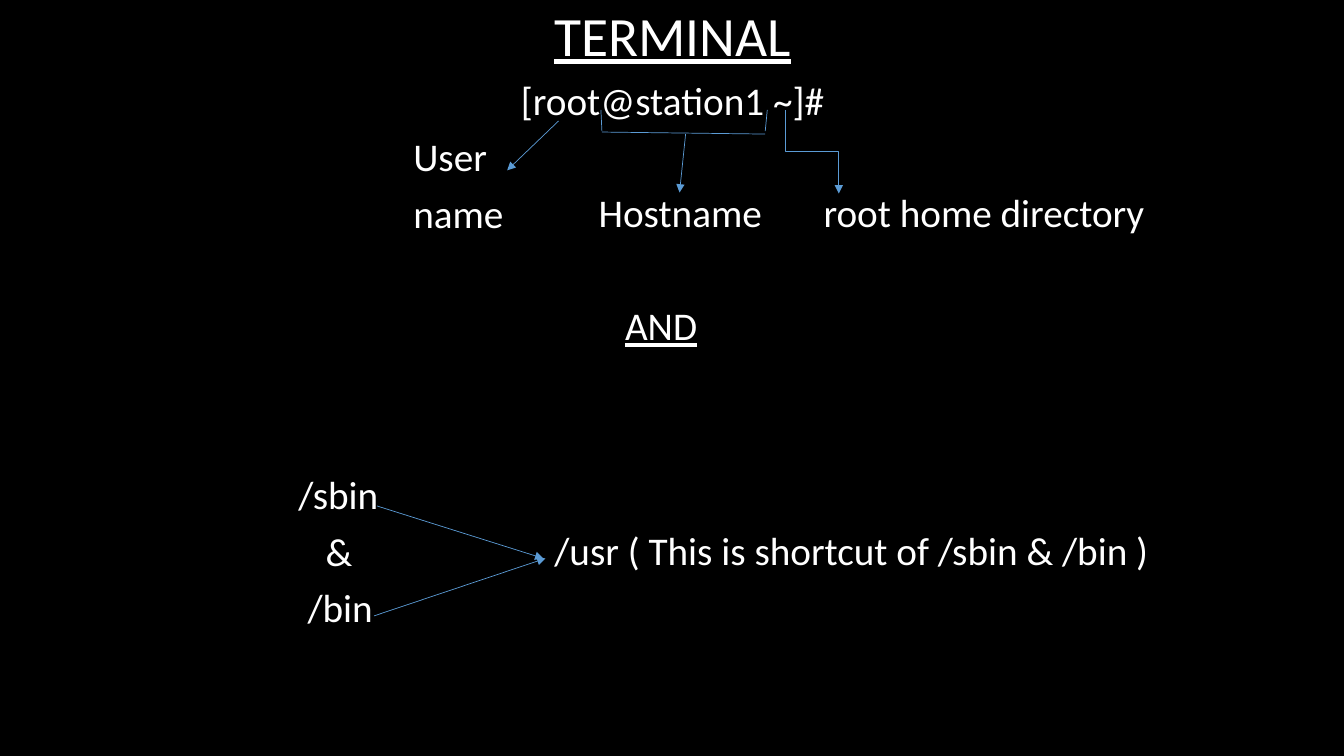
from lxml import etree
from pptx import Presentation
from pptx.dml.color import RGBColor
from pptx.enum.shapes import MSO_CONNECTOR as Connector
from pptx.enum.text import MSO_ANCHOR as Anchor, MSO_AUTO_SIZE as AutoSize, PP_ALIGN as Align
from pptx.oxml.ns import qn
from pptx.util import Inches, Pt

COLORS = {"background": "000000", "text": "FFFFFF", "line": "5B9BD5"}
FONT = "Calibri"
TITLE_BOX = (0.92, 0, 11.5, 0.76)
BODY_BOX = (0.92, 0.76, 11.5, 6)
LINE_PITCH = 40.2
GAP = 10

# Text, left indent, empty lines above
BODY_LINES = [
    ("[root@station1 ~]#", 0, 0),
    ("User", 3.08, 0),
    ("name", 3.08, 0),
    ("AND", 5.18, 1),
    ("/sbin", 1.94, 2),
    ("&", 2.21, 0),
    ("/bin", 2.03, 0),
]

# Text, left offset, line number in the body, width
LABELS = [
    ("Hostname", 4.92, 2, 2),
    ("root home directory", 7.15, 2, 3.7),
    ("/usr ( This is shortcut of /sbin & /bin )", 4.48, 8, 6.5),
]


def color(name):
    return RGBColor.from_string(COLORS[name])


def place(shape, box):
    shape.left, shape.top, shape.width, shape.height = map(Inches, box)
    shape.text_frame.word_wrap = True
    shape.text_frame.auto_size = AutoSize.NONE


def format_paragraph(paragraph, size, alignment=Align.LEFT, gap=0, underline=False):
    paragraph.alignment = alignment
    paragraph.line_spacing = 0.9
    paragraph.space_before = Pt(gap)
    paragraph.space_after = Pt(0)
    for run in paragraph.runs:
        font = run.font
        font.name, font.size, font.underline = FONT, Pt(size), underline
        font.bold = False
        font.color.rgb = color("text")


def set_indent(paragraph, indent):
    properties = paragraph._p.get_or_add_pPr()
    properties.set("marL", str(Inches(indent)))
    properties.set("indent", "0")
    etree.SubElement(properties, qn("a:buNone"))


def add_line(slide, box, start, end, arrow=False, kind=Connector.STRAIGHT):
    left, top = box[:2]
    ends = (left + start[0], top + start[1], left + end[0], top + end[1])
    connector = slide.shapes.add_connector(kind, *map(Inches, ends))
    connector.line.color.rgb = color("line")
    connector.line.width = Pt(0.5)
    if arrow:
        etree.SubElement(connector.line._get_or_add_ln(), qn("a:tailEnd"), type="triangle")
    etree.SubElement(connector._element.spPr, qn("a:effectLst"))
    return connector


def add_title(slide, box):
    title = slide.shapes.title
    place(title, box)
    title.text_frame.text = "TERMINAL"
    title.text_frame.vertical_anchor = Anchor.MIDDLE
    format_paragraph(title.text_frame.paragraphs[0], 39.6, Align.CENTER, underline=True)


def add_body(slide, box):
    body = slide.placeholders[1]
    place(body, box)
    frame = body.text_frame
    frame.vertical_anchor = Anchor.TOP
    frame.text = "\n".join(line[0] for line in BODY_LINES)
    for paragraph, (text, indent, empty_lines) in zip(frame.paragraphs, BODY_LINES):
        alignment = Align.LEFT if indent else Align.CENTER
        gap = GAP + empty_lines * LINE_PITCH
        format_paragraph(paragraph, 28, alignment, gap, underline=text == "AND")
        set_indent(paragraph, indent)


def add_labels(slide, box):
    left, top = box[:2]
    for text, offset, line_number, width in LABELS:
        label_top = top + line_number * LINE_PITCH / 72
        label = slide.shapes.add_textbox(0, 0, 0, 0)
        place(label, (left + offset, label_top, width, 0.6))
        label.text_frame.text = text
        format_paragraph(label.text_frame.paragraphs[0], 28, gap=GAP)


def add_prompt_lines(slide, box):
    # User name
    add_line(slide, box, (4.62, 0.44), (4.11, 0.93), arrow=True)

    # Home directory: elbow turned to leave downwards
    elbow = add_line(slide, box, (7.55, 0.48), (6.72, 1.01), True, Connector.ELBOW)
    elbow._element.spPr.find(qn("a:xfrm")).set("rot", str(270 * 60000))

    # Bracket under the host name
    add_line(slide, box, (5.04, 0.33), (5.05, 0.54))
    add_line(slide, box, (5.05, 0.55), (6.67, 0.57))
    add_line(slide, box, (6.67, 0.54), (6.69, 0.33))
    add_line(slide, box, (5.88, 0.57), (5.82, 1.15), arrow=True)


def add_shortcut_arrows(slide, box):
    add_line(slide, box, (2.82, 4.26), (4.47, 4.78), arrow=True)
    add_line(slide, box, (2.79, 5.35), (4.49, 4.78), arrow=True)


presentation = Presentation()
presentation.slide_width = Inches(13.33)
presentation.slide_height = Inches(7.5)
slide = presentation.slides.add_slide(presentation.slide_layouts[1])
slide.background.fill.solid()
slide.background.fill.fore_color.rgb = color("background")

add_title(slide, TITLE_BOX)
add_body(slide, BODY_BOX)
add_labels(slide, BODY_BOX)
add_prompt_lines(slide, BODY_BOX)
add_shortcut_arrows(slide, BODY_BOX)

presentation.save("out.pptx")
